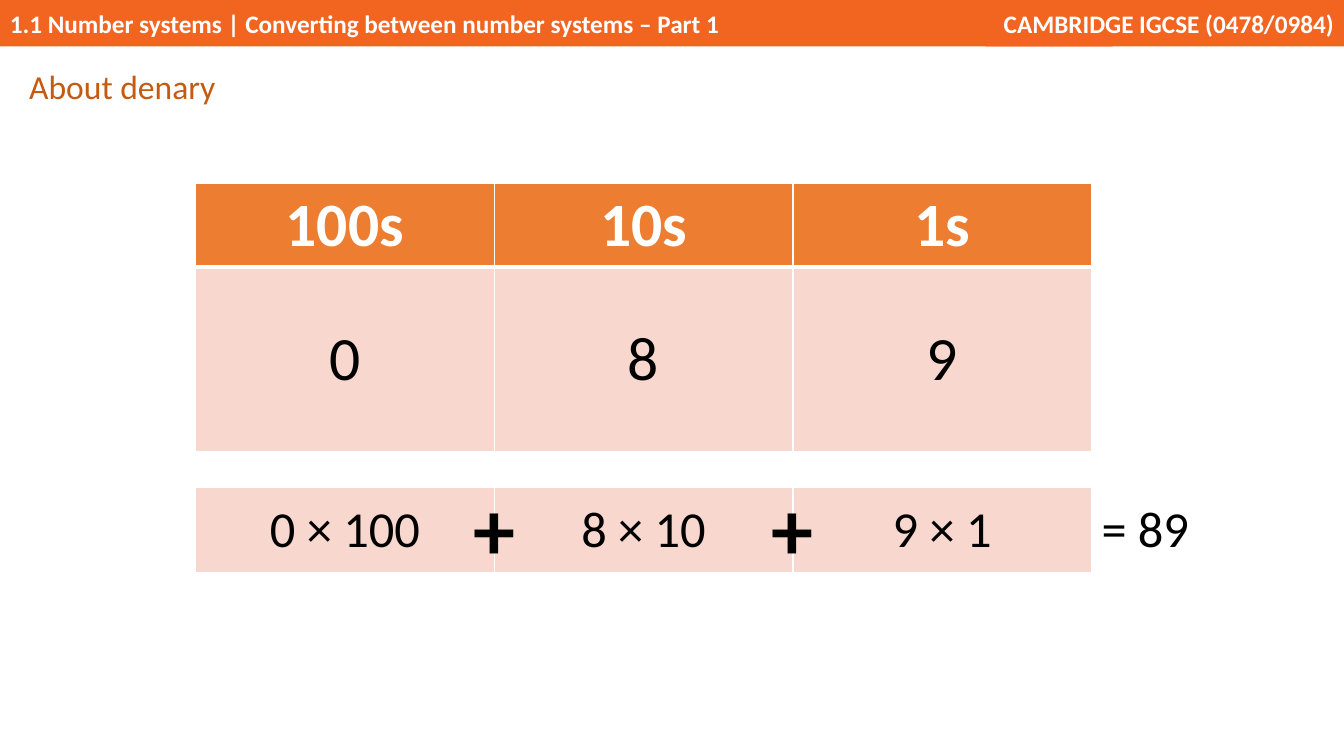
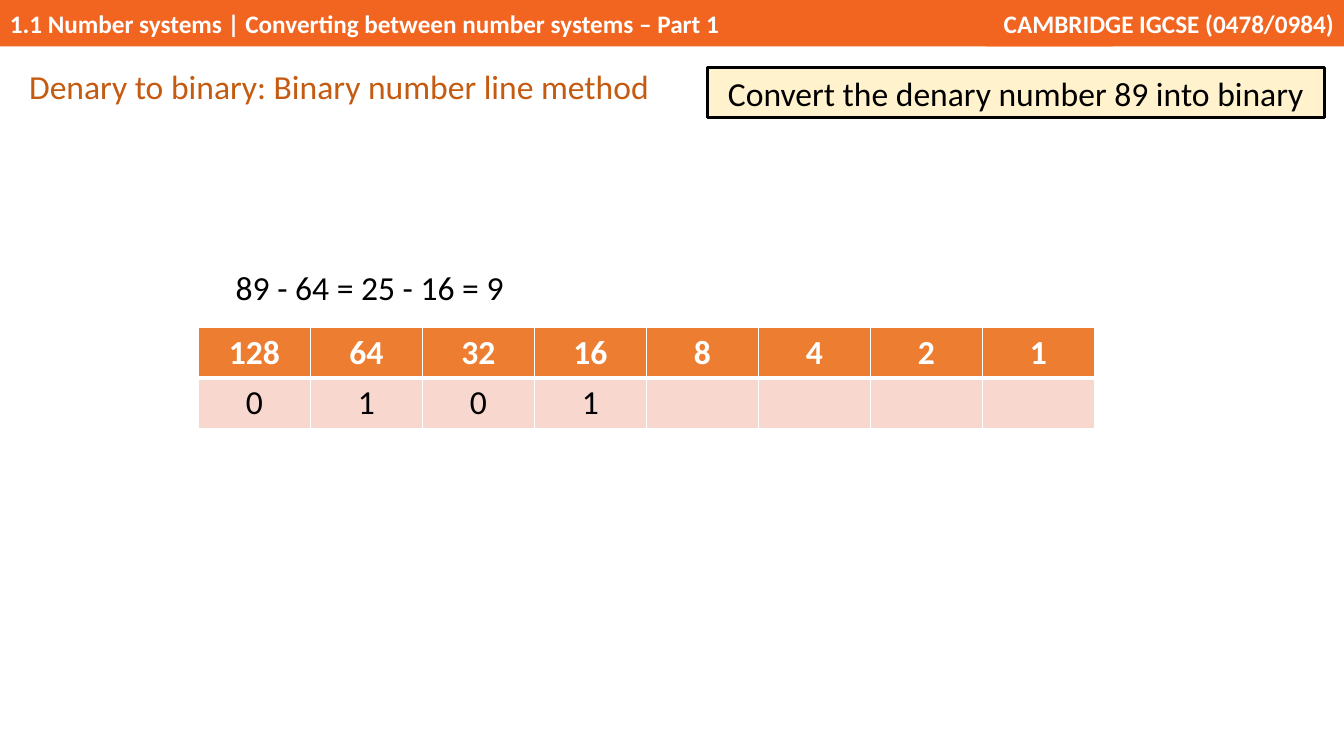
from dataclasses import dataclass

from lxml.etree import SubElement
from pptx import Presentation
from pptx.dml.color import RGBColor
from pptx.enum.shapes import MSO_SHAPE
from pptx.enum.text import MSO_ANCHOR, MSO_AUTO_SIZE, PP_ALIGN
from pptx.oxml.ns import qn
from pptx.util import Cm, Pt


@dataclass(frozen=True)
class Theme:
    font: str = "Calibri"
    band: str = "F26521"
    title: str = "C55A11"
    head: str = "ED7D31"
    cell: str = "F8D7CE"
    note: str = "FFF2CC"
    white: str = "FFFFFF"
    black: str = "000000"
    band_size: int = 18
    text_size: int = 24
    sum_size: int = 36
    digit_size: int = 44
    plus_size: int = 60
    thin: int = 1
    thick: int = 3


THEME = Theme()
TITLE_ONLY = 5
WIDTH, HEIGHT = 33.87, 19.05


def write_text(frame, text, size=THEME.text_size, color=THEME.black, bold=False,
               align=PP_ALIGN.LEFT, anchor=MSO_ANCHOR.MIDDLE, wrap=True):
    """Write one formatted paragraph and return it."""
    frame.word_wrap = wrap
    frame.auto_size = MSO_AUTO_SIZE.NONE
    frame.vertical_anchor = anchor
    para = frame.paragraphs[0]
    para.alignment = align
    span = para.add_run()
    span.text = text
    span.font.name = THEME.font
    span.font.size = Pt(size)
    span.font.bold = bold
    span.font.color.rgb = RGBColor.from_string(color)
    return para


def set_borders(cell, top, bottom):
    """Draw white lines on the four sides of a table cell."""
    properties = cell._tc.get_or_add_tcPr()
    sides = (("a:lnL", THEME.thin), ("a:lnR", THEME.thin),
             ("a:lnT", top), ("a:lnB", bottom))
    for index, (tag, width) in enumerate(sides):
        line = SubElement(properties, qn(tag), w=str(Pt(width)))
        fill = SubElement(line, qn("a:solidFill"))
        SubElement(fill, qn("a:srgbClr"), val=THEME.white)
        properties.insert(index, line)


class Lesson:
    def __init__(self):
        self.deck = Presentation()
        self.deck.slide_width, self.deck.slide_height = Cm(WIDTH), Cm(HEIGHT)
        self.layout = self.deck.slide_layouts[TITLE_ONLY]
        self.page = None

    def add_page(self, title, width):
        self.page = self.deck.slides.add_slide(self.layout)
        holder = self.page.shapes.title
        holder.left, holder.top = Cm(0.48), Cm(1.45)
        holder.width, holder.height = Cm(width), Cm(1.3)
        para = write_text(holder.text_frame, title, color=THEME.title,
                          anchor=MSO_ANCHOR.TOP)
        para.line_spacing = 1.07
        para.space_after = Pt(8)

    def add_box(self, text, left, top, width, height, fill, line=None, **style):
        box = self.page.shapes.add_shape(
            MSO_SHAPE.RECTANGLE, Cm(left), Cm(top), Cm(width), Cm(height))
        box.shadow.inherit = False
        box.fill.solid()
        box.fill.fore_color.rgb = RGBColor.from_string(fill)
        if line:
            box.line.color.rgb = RGBColor.from_string(line)
            box.line.width = Pt(2.25)
        else:
            box.line.fill.background()
        write_text(box.text_frame, text, **style)
        return box

    def add_layout_band(self, text, left, width, align):
        """Build a band on the current page, then move it to the shared layout."""
        band = self.add_box(text, left, 0, width, 1.17, THEME.band, align=align,
                            size=THEME.band_size, color=THEME.white, bold=True)
        self.layout.shapes.element.append(band.element)

    def add_text(self, text, left, top, width, height, **style):
        box = self.page.shapes.add_textbox(Cm(left), Cm(top), Cm(width), Cm(height))
        write_text(box.text_frame, text, wrap=False, anchor=MSO_ANCHOR.TOP, **style)

    def add_table(self, rows, left, top, width, heights, sizes):
        """Add a table with a header row; a row of None is a white gap."""
        columns = len(rows[0])
        table = self.page.shapes.add_table(
            len(rows), columns, Cm(left), Cm(top), Cm(width), Cm(sum(heights))).table
        table.horz_banding = False
        for column in table.columns:
            column.width = Cm(width / columns)
        for number, values in enumerate(rows):
            table.rows[number].height = Cm(heights[number])
            is_head = number == 0
            fill = THEME.head if is_head else THEME.cell if values else THEME.white
            for cell, value in zip(table.rows[number].cells, values or [""] * columns):
                cell.margin_top = cell.margin_bottom = 0
                cell.vertical_anchor = MSO_ANCHOR.MIDDLE
                cell.fill.solid()
                cell.fill.fore_color.rgb = RGBColor.from_string(fill)
                set_borders(cell, THEME.thick if number == 1 else THEME.thin,
                            THEME.thick if is_head else THEME.thin)
                if value:
                    self.write_cell(cell, value, sizes[number], is_head)

    def write_cell(self, cell, value, size, is_head):
        para = cell.text_frame.paragraphs[0]
        para.alignment = PP_ALIGN.CENTER
        span = para.add_run()
        span.text = value
        span.font.name = THEME.font
        span.font.size = Pt(size)
        span.font.bold = is_head
        span.font.color.rgb = RGBColor.from_string(
            THEME.white if is_head else THEME.black)


def add_denary_page(lesson):
    lesson.add_page("About denary", 5.26)

    # Bands shared by every page
    lesson.add_layout_band(
        "1.1 Number systems | Converting between number systems – Part 1",
        0, 28.04, PP_ALIGN.LEFT)
    lesson.add_layout_band("CAMBRIDGE IGCSE (0478/0984)", WIDTH - 9.03, 9.03,
                           PP_ALIGN.RIGHT)

    # Place values and their products
    left, top, width = 4.93, 4.62, 22.58
    heights = [2.1, 4.67, 0.89, 2.14]
    rows = [["100s", "10s", "1s"], ["0", "8", "9"], None,
            ["0 × 100", "8 × 10", "9 × 1"]]
    sizes = [THEME.digit_size, THEME.digit_size, None, THEME.sum_size]
    lesson.add_table(rows, left, top, width, heights, sizes)

    # Plus signs on the column borders, then the total
    plus_width = 1.57
    for border in (1, 2):
        lesson.add_text("+", left + border * width / 3 - plus_width / 2, 11.89,
                        plus_width, 2.82, size=THEME.plus_size, bold=True)
    lesson.add_text("= 89", left + width, 12.4, 2.74, 1.8, size=THEME.sum_size)


def add_binary_page(lesson):
    lesson.add_page("Denary to binary: Binary number line method", 16.92)

    # Number line: powers of two with the digits found so far
    powers = [str(2 ** power) for power in range(7, -1, -1)]
    digits = ["0", "1", "0", "1", "", "", "", ""]
    lesson.add_table([powers, digits], 5, 8.26, 22.58, [1.27, 1.27],
                     [THEME.text_size] * 2)
    lesson.add_text("89 - 64 = 25 - 16 = 9", 5.69, 6.6, 7.32, 1.27)

    # Task
    lesson.add_box("Convert the denary number 89 into binary", 17.83, 1.7, 15.54,
                   1.27, THEME.note, line=THEME.black, align=PP_ALIGN.CENTER)


def main():
    lesson = Lesson()
    add_denary_page(lesson)
    add_binary_page(lesson)
    lesson.deck.save("out.pptx")


if __name__ == "__main__":
    main()
